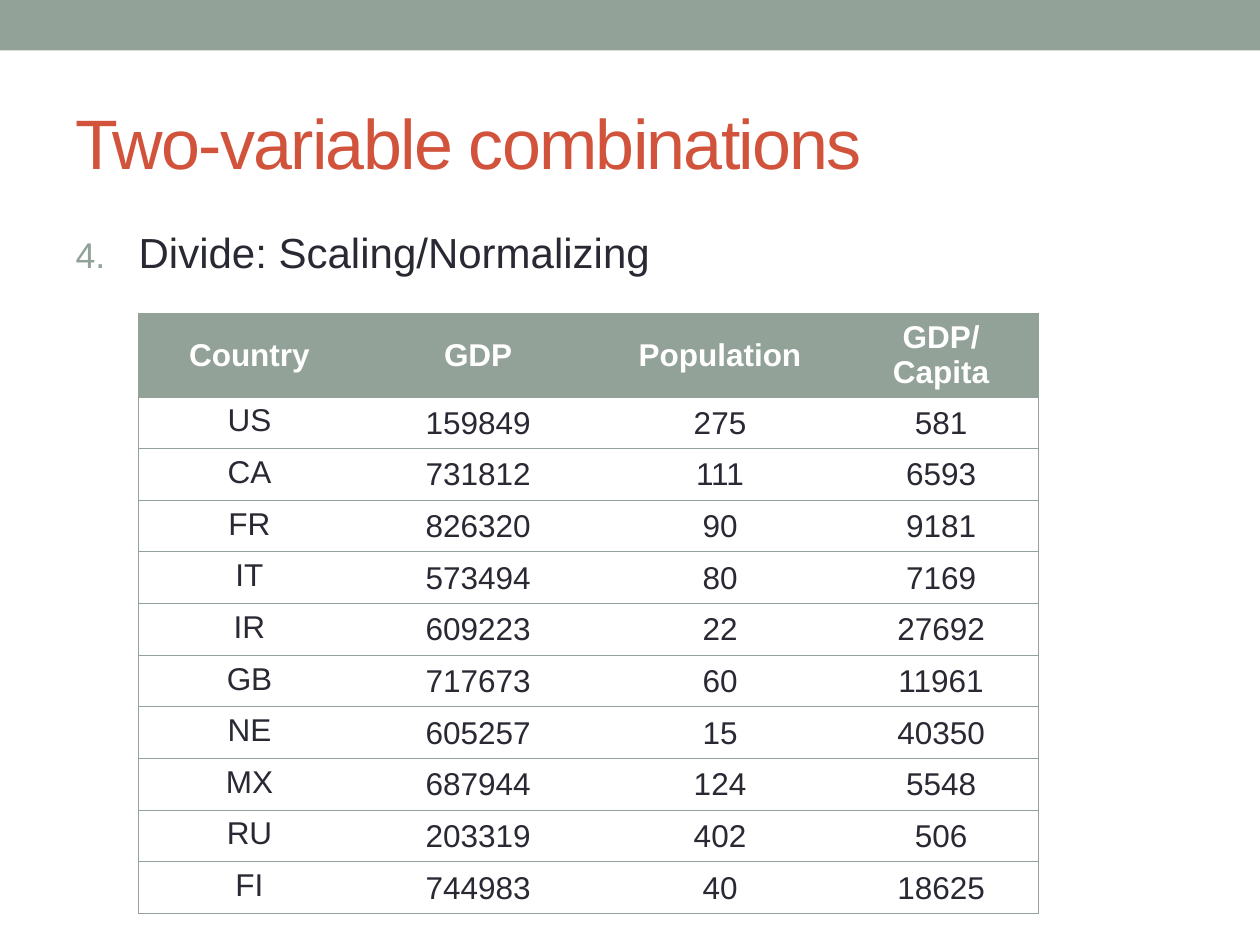
from lxml.etree import SubElement
from pptx import Presentation
from pptx.dml.color import RGBColor
from pptx.enum.shapes import MSO_SHAPE
from pptx.enum.text import MSO_ANCHOR, MSO_AUTO_SIZE, PP_ALIGN
from pptx.oxml.ns import qn
from pptx.util import Inches, Pt

SAGE, RUST, INK, WHITE = "93A299", "D2533C", "292934", "FFFFFF"
FONT = "Arial"
COL_WIDTHS = [1.76, 1.87, 1.97, 1.54]
HEADER_HEIGHT, ROW_HEIGHT = 0.66, 0.41
ROWS = [
    ("Country", "GDP", "Population", "GDP/Capita"),
    ("US", 159849, 275, 581),
    ("CA", 731812, 111, 6593),
    ("FR", 826320, 90, 9181),
    ("IT", 573494, 80, 7169),
    ("IR", 609223, 22, 27692),
    ("GB", 717673, 60, 11961),
    ("NE", 605257, 15, 40350),
    ("MX", 687944, 124, 5548),
    ("RU", 203319, 402, 506),
    ("FI", 744983, 40, 18625),
]


def rgb(value):
    return RGBColor.from_string(value)


def format_text(p, size, color, align, bold=False):
    p.alignment = align
    for r in p.runs:
        r.font.name = FONT
        r.font.size = Pt(size)
        r.font.bold = bold
        r.font.color.rgb = rgb(color)


def fill_placeholder(sp, box, text, size, color, anchor):
    sp.left, sp.top, sp.width, sp.height = (Inches(v) for v in box)
    tf = sp.text_frame
    tf.text = text
    tf.auto_size = MSO_AUTO_SIZE.NONE
    tf.vertical_anchor = anchor
    p = tf.paragraphs[0]
    format_text(p, size, color, PP_ALIGN.LEFT)
    return p


def add_band(s):
    sp = s.shapes.add_shape(MSO_SHAPE.RECTANGLE, 0, 0, Inches(10), Inches(0.4))
    sp.shadow.inherit = False
    sp.fill.solid()
    sp.fill.fore_color.rgb = rgb(SAGE)
    sp.line.fill.background()


def number_paragraph(p, start):
    pPr = p._p.get_or_add_pPr()
    pPr.set("marL", str(Inches(0.5)))
    pPr.set("indent", str(-Inches(0.5)))
    color = SubElement(pPr, qn("a:buClr"))
    SubElement(color, qn("a:srgbClr"), val=SAGE)
    SubElement(pPr, qn("a:buSzPct"), val="85000")
    SubElement(pPr, qn("a:buAutoNum"), type="arabicPeriod", startAt=str(start))


def set_borders(cell, visible):
    # Borders are written before the cell fill, as the schema orders them
    tcPr = cell._tc.get_or_add_tcPr()
    for side in "LRTB":
        ln = SubElement(tcPr, qn(f"a:ln{side}"), w=str(Pt(0.75)))
        if side in visible:
            fill = SubElement(ln, qn("a:solidFill"))
            SubElement(fill, qn("a:srgbClr"), val=SAGE)
        else:
            SubElement(ln, qn("a:noFill"))


def fill_cell(cell, value, row, col):
    header = row == 0
    edges = {0: "L", len(COL_WIDTHS) - 1: "R"}
    set_borders(cell, "TB" + edges.get(col, ""))
    cell.fill.solid()
    cell.fill.fore_color.rgb = rgb(SAGE if header else WHITE)
    cell.text_frame.text = str(value)
    format_text(cell.text_frame.paragraphs[0], 18, WHITE if header else INK,
                PP_ALIGN.CENTER, header)
    if header or col > 0:
        cell.vertical_anchor = MSO_ANCHOR.MIDDLE
    if not header and col > 0:
        cell.margin_left = cell.margin_right = cell.margin_top = Inches(0.01)
        cell.margin_bottom = 0


def add_data_table(s):
    height = HEADER_HEIGHT + ROW_HEIGHT * (len(ROWS) - 1)
    table = s.shapes.add_table(len(ROWS), len(COL_WIDTHS), Inches(1.1), Inches(2.49),
                               Inches(sum(COL_WIDTHS)), Inches(height)).table
    for column, width in zip(table.columns, COL_WIDTHS):
        column.width = Inches(width)
    for i, values in enumerate(ROWS):
        table.rows[i].height = Inches(ROW_HEIGHT if i else HEADER_HEIGHT)
        for j, value in enumerate(values):
            fill_cell(table.cell(i, j), value, i, j)


def main():
    prs = Presentation()
    prs.slide_width, prs.slide_height = Inches(10), Inches(7.5)
    s = prs.slides.add_slide(prs.slide_layouts[1])

    # Top band
    add_band(s)

    # Title with tightened letter spacing
    p = fill_placeholder(s.shapes.title, (0.5, 0.58, 9, 1.08),
                         "Two-variable combinations", 40, RUST, MSO_ANCHOR.MIDDLE)
    p.runs[0].font._element.set("spc", "-100")

    # Numbered heading
    p = fill_placeholder(s.placeholders[1], (0.5, 1.75, 9, 0.65),
                         "Divide: Scaling/Normalizing", 24, INK, MSO_ANCHOR.TOP)
    number_paragraph(p, 4)

    # GDP per capita table
    add_data_table(s)
    prs.save("out.pptx")


if __name__ == "__main__":
    main()
